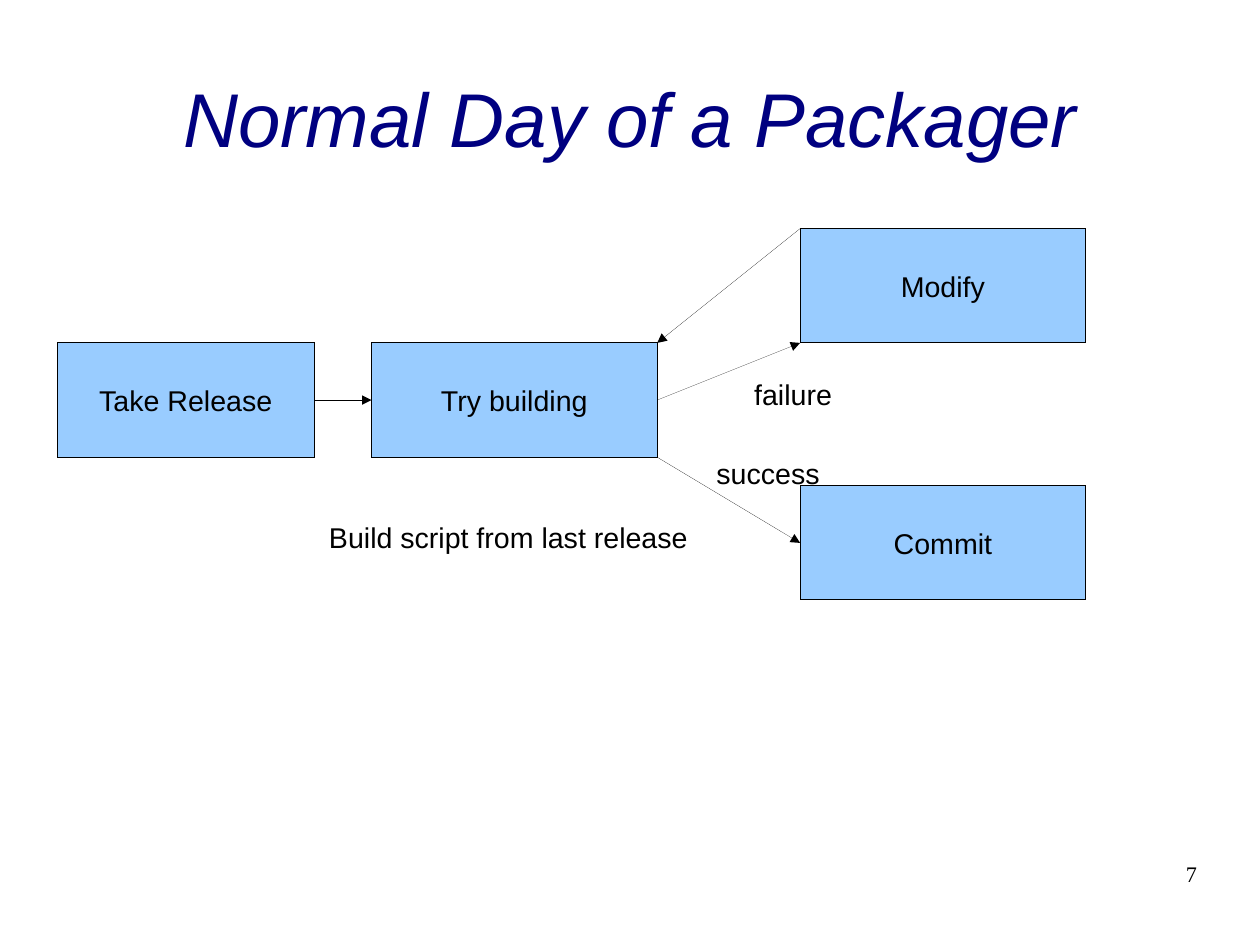
from dataclasses import dataclass

from lxml import etree
from pptx import Presentation
from pptx import util as u
from pptx.dml.color import RGBColor
from pptx.enum import shapes, text
from pptx.oxml.ns import qn


@dataclass(frozen=True)
class Theme:
    ink: RGBColor = RGBColor(0x00, 0x00, 0x00)
    heading: RGBColor = RGBColor(0x00, 0x00, 0x80)
    step_fill: RGBColor = RGBColor(0x99, 0xCC, 0xFF)
    sans: str = "Arial"
    serif: str = "Times New Roman"
    title_size: int = 48
    body_size: int = 18
    number_size: int = 14


@dataclass(frozen=True)
class Step:
    """A process box, placed in grid columns and rows."""
    name: str
    col: float
    row: float
    cols: float = 10
    rows: float = 4


@dataclass(frozen=True)
class Flow:
    """An arrow; each end is a share of its box's width and height."""
    source: str
    leave: tuple[float, float]
    target: str
    enter: tuple[float, float]


@dataclass(frozen=True)
class Caption:
    words: str
    col: float
    row: float
    cols: float
    rows: float = 1.5


THEME = Theme()
CELL = 0.25  # inches per grid column and row
SITES = {(0.5, 0): 0, (0, 0.5): 1, (0.5, 1): 2, (1, 0.5): 3}

STEPS = [
    Step("Take Release", 2, 12, cols=9),
    Step("Try building", 13, 12),
    Step("Commit", 28, 17),
    Step("Modify", 28, 8),
]
FLOWS = [
    Flow("Take Release", (1, 0.5), "Try building", (0, 0.5)),
    Flow("Try building", (1, 0.5), "Modify", (0, 1)),
    Flow("Modify", (0, 0), "Try building", (1, 0)),
    Flow("Try building", (1, 1), "Commit", (0, 0.5)),
]
CAPTIONS = [
    Caption("failure", 26, 13, 3.6),
    Caption("success", 24.68, 15.76, 4.45),
    Caption("Build script from last release", 11.12, 18, 13.4),
]


def grid(cells: float) -> int:
    return u.Inches(cells * CELL)


def write(frame, words: str, size: int, align, face: str = THEME.sans,
          color: RGBColor = THEME.ink, italic: bool = False) -> None:
    frame.text = words
    line = frame.paragraphs[0]
    line.alignment = align
    line.font.name = face
    line.font.size = u.Pt(size)
    line.font.italic = italic
    line.font.color.rgb = color


def clear_margins(frame) -> None:
    frame.margin_left = frame.margin_right = 0
    frame.margin_top = frame.margin_bottom = 0


def draw_hairline(line):
    """Set the thinnest stroke; the zero width must be written out."""
    line.color.rgb = THEME.ink
    stroke = line._get_or_add_ln()
    stroke.set("w", "0")
    return stroke


def add_step(slide, step: Step):
    box = slide.shapes.add_shape(
        shapes.MSO_SHAPE.RECTANGLE, grid(step.col), grid(step.row),
        grid(step.cols), grid(step.rows))
    box.shadow.inherit = False
    box.fill.solid()
    box.fill.fore_color.rgb = THEME.step_fill
    draw_hairline(box.line)
    box.text_frame.vertical_anchor = text.MSO_ANCHOR.MIDDLE
    write(box.text_frame, step.name, THEME.body_size, text.PP_ALIGN.CENTER)
    return box


def point_on(box, share: tuple[float, float]) -> tuple[int, int]:
    return (int(box.left + share[0] * box.width),
            int(box.top + share[1] * box.height))


def add_flow(slide, flow: Flow, boxes: dict) -> None:
    source, target = boxes[flow.source], boxes[flow.target]
    arrow = slide.shapes.add_connector(
        shapes.MSO_CONNECTOR.STRAIGHT,
        *point_on(source, flow.leave), *point_on(target, flow.enter))
    if flow.leave in SITES:
        arrow.begin_connect(source, SITES[flow.leave])
    if flow.enter in SITES:
        arrow.end_connect(target, SITES[flow.enter])
    etree.SubElement(draw_hairline(arrow.line), qn("a:tailEnd"), type="triangle")
    etree.SubElement(arrow._element.spPr, qn("a:effectLst"))


def add_caption(slide, caption: Caption) -> None:
    label = slide.shapes.add_textbox(
        grid(caption.col), grid(caption.row), grid(caption.cols), grid(caption.rows))
    label.text_frame.word_wrap = False
    label.text_frame.auto_size = text.MSO_AUTO_SIZE.SHAPE_TO_FIT_TEXT
    write(label.text_frame, caption.words, THEME.body_size, text.PP_ALIGN.LEFT)


def main() -> None:
    prs = Presentation()
    prs.slide_width, prs.slide_height = u.Cm(28), u.Cm(21)
    width, height = prs.slide_width, prs.slide_height
    slide = prs.slides.add_slide(prs.slide_layouts[5])

    # Title
    title = slide.shapes.title
    title.left, title.top = int(width * 0.05), int(height * 0.04)
    title.width, title.height = int(width * 0.9), u.Inches(1.38)
    clear_margins(title.text_frame)
    title.text_frame.auto_size = text.MSO_AUTO_SIZE.NONE
    title.text_frame.vertical_anchor = text.MSO_ANCHOR.MIDDLE
    write(title.text_frame, "Normal Day of a Packager", THEME.title_size,
          text.PP_ALIGN.CENTER, color=THEME.heading, italic=True)

    # Process boxes, arrows and captions
    boxes = {step.name: add_step(slide, step) for step in STEPS}
    for flow in FLOWS:
        add_flow(slide, flow, boxes)
    for caption in CAPTIONS:
        add_caption(slide, caption)

    # Page number, flush with the title's right edge
    number_width = u.Inches(2.57)
    number = slide.shapes.add_textbox(
        int(width * 0.95) - number_width, int(height * 0.91),
        number_width, u.Inches(0.57))
    number.text_frame.word_wrap = True
    clear_margins(number.text_frame)
    write(number.text_frame, "7", THEME.number_size, text.PP_ALIGN.RIGHT,
          face=THEME.serif)

    prs.save("out.pptx")


if __name__ == "__main__":
    main()
